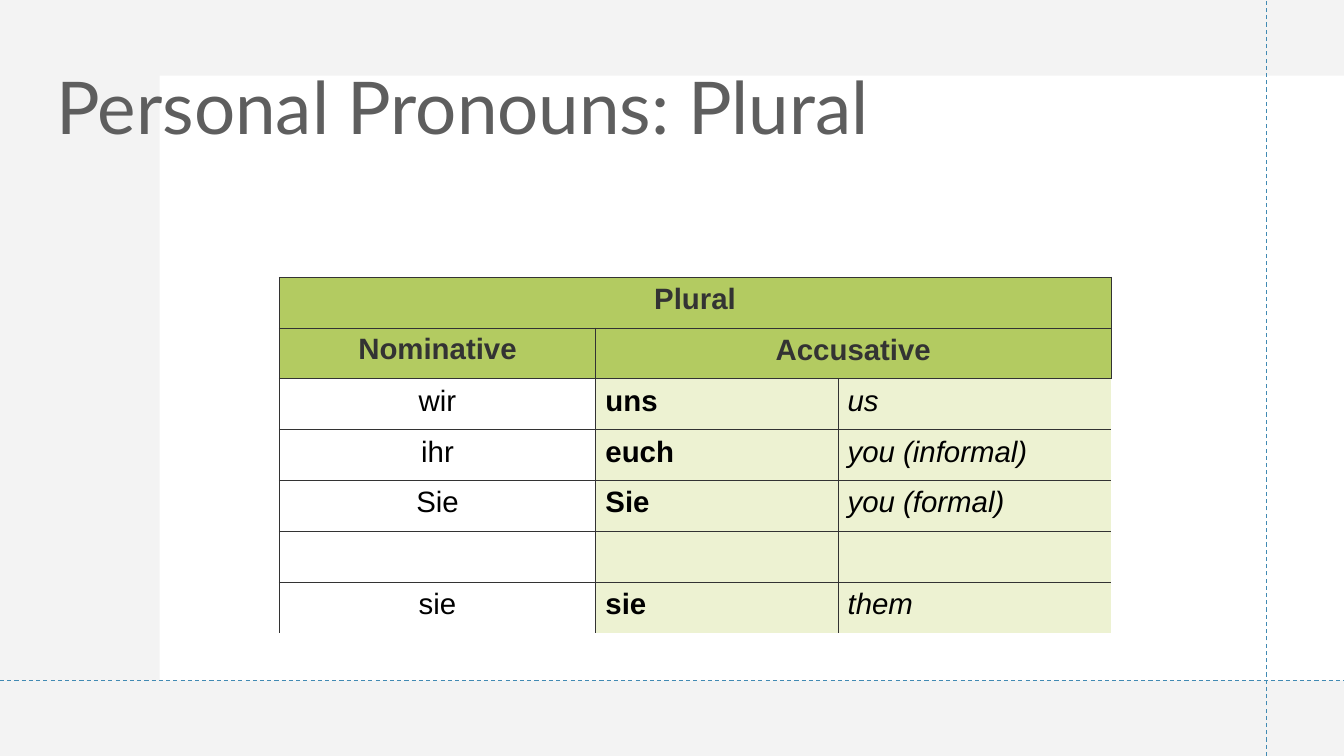
"""Builds a slide with a table of German plural personal pronouns."""
from dataclasses import dataclass

from lxml.etree import SubElement
from pptx import Presentation
from pptx.dml.color import RGBColor
from pptx.enum.dml import MSO_LINE_DASH_STYLE as Dash
from pptx.enum.shapes import MSO_CONNECTOR as Connector, MSO_SHAPE as Shape
from pptx.enum.text import MSO_ANCHOR as Anchor, PP_ALIGN as Align
from pptx.oxml.ns import qn
from pptx.util import Pt


@dataclass(frozen=True)
class Theme:
    white: str = "FFFFFF"
    margin: str = "DDDDDD"
    guide: str = "418AB3"
    title: str = "5E5E5E"
    ink: str = "333333"
    black: str = "000000"
    header: str = "B3CB61"
    accusative: str = "EDF2D2"
    title_font: str = "Lato"
    table_font: str = "Arial"
    title_size: float = 52
    table_size: float = 21
    border: float = 0.6


def write(frame, text, font, size, color, align=Align.LEFT, bold=False, italic=False, spacing=None):
    """Writes one formatted run into a text frame."""
    paragraph = frame.paragraphs[0]
    paragraph.alignment = align
    paragraph.line_spacing = spacing
    run = paragraph.add_run()
    run.text = text
    run.font.name, run.font.size = font, Pt(size)
    run.font.bold, run.font.italic = bold, italic
    run.font.color.rgb = RGBColor.from_string(color)


def draw_borders(cell, visible):
    """Draws the visible edges of a cell and clears the others."""
    properties = cell._tc.get_or_add_tcPr()
    for edge in "LRTB":
        line = SubElement(properties, qn(f"a:ln{edge}"), w=str(Pt(theme.border)))
        if edge in visible:
            fill = SubElement(line, qn("a:solidFill"))
            SubElement(fill, qn("a:srgbClr"), val=theme.ink)
        else:
            SubElement(line, qn("a:noFill"))


theme = Theme()
deck = Presentation()
deck.slide_width, deck.slide_height = Pt(960), Pt(540)
slide = deck.slides.add_slide(deck.slide_layouts[5])
shapes = slide.shapes

for left, top, width, height, color, opacity in [
    (0, 0, 960, 540, theme.margin, 35),
    (114, 54, 846, 432, theme.white, 100),
]:
    panel = shapes.add_shape(Shape.RECTANGLE, Pt(left), Pt(top), Pt(width), Pt(height))
    panel.shadow.inherit = False
    panel.line.fill.background()
    panel.fill.solid()
    panel.fill.fore_color.rgb = RGBColor.from_string(color)
    if opacity < 100:
        tint = next(panel.element.spPr.iter(qn("a:srgbClr")))
        SubElement(tint, qn("a:alpha"), val=str(opacity * 1000))

heading = shapes.title
heading.element.getparent().append(heading.element)
heading.left, heading.top, heading.width, heading.height = Pt(33), Pt(47.5), Pt(855), Pt(137)
heading.text_frame.vertical_anchor = Anchor.TOP
heading.text_frame.word_wrap = True
write(heading.text_frame, "Personal Pronouns: Plural", theme.title_font, theme.title_size,
      theme.title, spacing=0.9)

for start_x, start_y, end_x, end_y in [(905, 540, 905, 0), (0, 486, 960, 486)]:
    guide = shapes.add_connector(Connector.STRAIGHT, Pt(start_x), Pt(start_y), Pt(end_x), Pt(end_y))
    guide.line.color.rgb = RGBColor.from_string(theme.guide)
    guide.line.width = Pt(0.75)
    guide.line.dash_style = Dash.DASH
    SubElement(guide.element.spPr, qn("a:effectLst"))

pronouns = [
    ("Plural", "", ""),
    ("Nominative", "Accusative", ""),
    ("wir", "uns", "us"),
    ("ihr", "euch", "you (informal)"),
    ("Sie", "Sie", "you (formal)"),
    ("", "", ""),
    ("sie", "sie", "them"),
]
column_widths = (226, 173, 195)
row_height = 36.3
header_rows = 2
last_row, last_column = len(pronouns) - 1, len(column_widths) - 1

table = shapes.add_table(len(pronouns), len(column_widths), Pt(199.5), Pt(198),
                         Pt(sum(column_widths)), Pt(row_height * len(pronouns))).table
table.horz_banding = table.first_row = False
for column, width in zip(table.columns, column_widths):
    column.width = Pt(width)
for row in table.rows:
    row.height = Pt(row_height)
table.cell(0, 0).merge(table.cell(0, last_column))
table.cell(1, 1).merge(table.cell(1, last_column))

for r, forms in enumerate(pronouns):
    for c, form in enumerate(forms):
        cell = table.cell(r, c)
        is_header = r < header_rows
        hidden = ("B" if r == last_row else "") + ("R" if c == last_column and not is_header else "")
        draw_borders(cell, set("LRTB") - set(hidden))
        cell.fill.solid()
        cell.fill.fore_color.rgb = RGBColor.from_string(
            theme.header if is_header else theme.accusative if c else theme.white)
        cell.margin_left = Pt(7 if c and not is_header else 8)
        cell.margin_right = Pt(8)
        cell.margin_top = cell.margin_bottom = Pt(3.6 if form == "Nominative" else 4.3)
        if form:
            write(cell.text_frame, form, theme.table_font, theme.table_size,
                  theme.ink if is_header else theme.black,
                  align=Align.CENTER if is_header or c == 0 else Align.LEFT,
                  bold=is_header or c == 1, italic=c == 2)

deck.save("out.pptx")
